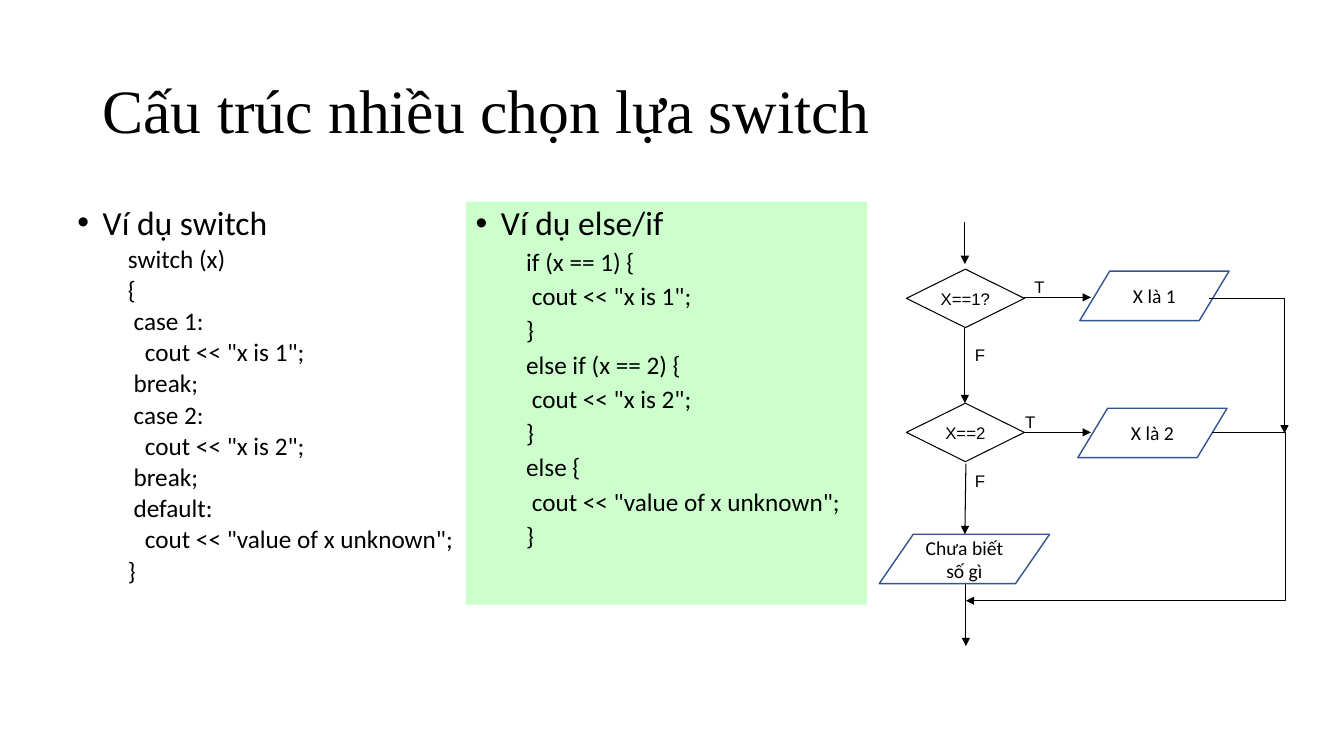
from dataclasses import dataclass

from lxml import etree
from pptx import Presentation
from pptx import util as u
from pptx.dml import color
from pptx.enum import shapes, text
from pptx.oxml import ns

COLORS = {"ink": "000000", "outline": "325491", "panel": "CCFFCC"}

SWITCH_CODE = """switch (x)
{
 case 1:
   cout << "x is 1";
 break;
 case 2:
   cout << "x is 2";
 break;
 default:
   cout << "value of x unknown";
}"""

ELSE_IF_CODE = """if (x == 1) {
 cout << "x is 1";
}
else if (x == 2) {
 cout << "x is 2";
}
else {
 cout << "value of x unknown";
}"""


@dataclass
class CodePanel:
    heading: str
    code: str
    frame: tuple
    spacing: float
    fill: str | None = None


@dataclass
class Node:
    caption: str
    frame: tuple
    decision: bool = False


@dataclass
class Arrow:
    start: tuple
    end: tuple
    preset: str = "line"
    bend: int | None = None


@dataclass
class Label:
    caption: str
    left: float
    top: float


PANELS = [
    CodePanel("Ví dụ switch", SWITCH_CODE, (0.67, 2.03, 4.05, 4.12), 0.8),
    CodePanel("Ví dụ else/if", ELSE_IF_CODE, (4.62, 2, 3.98, 4), 0.9, "panel"),
]
NODES = [
    Node("X==1?", (8.99, 2.67, 1.17, 0.58), True),
    Node("X==2", (8.99, 4, 1.17, 0.58), True),
    Node("X là 1", (10.71, 2.69, 1.48, 0.49)),
    Node("X là 2", (10.69, 4.05, 1.48, 0.49)),
    Node("Chưa biết số gì", (8.72, 5.3, 1.69, 0.49)),
]
ARROWS = [
    Arrow((9.57, 2.2), (9.57, 2.62)),
    Arrow((10.16, 2.95), (10.82, 2.95)),
    Arrow((9.57, 3.25), (9.57, 4)),
    Arrow((10.16, 4.29), (10.82, 4.29)),
    Arrow((9.58, 4.6), (9.57, 5.3)),
    Arrow((9.58, 5.79), (9.58, 6.41)),
    Arrow((11.99, 2.96), (12.74, 4.3), "bentConnector2"),
    Arrow((12.02, 4.29), (9.58, 5.96), "bentConnector3", -29800),
]
LABELS = [
    Label("T", 10.16, 2.7),
    Label("T", 10.07, 4.04),
    Label("F", 9.57, 3.37),
    Label("F", 9.57, 4.62),
]


def rgb(name: str) -> color.RGBColor:
    return color.RGBColor.from_string(COLORS[name])


def inches(lengths: tuple) -> list:
    return [u.Inches(length) for length in lengths]


def style(para, size: float, face: str) -> None:
    for span in para.runs:
        span.font.size = u.Pt(size)
        span.font.name = face
        span.font.color.rgb = rgb("ink")


def draw_title(page) -> None:
    frame = page.shapes.add_textbox(*inches((0.92, 0.4, 11.5, 1.45))).text_frame
    frame.word_wrap = True
    frame.vertical_anchor = text.MSO_ANCHOR.MIDDLE
    frame.text = "Cấu trúc nhiều chọn lựa switch"
    frame.paragraphs[0].line_spacing = 0.9
    style(frame.paragraphs[0], 44, "Times New Roman")


def draw_panel(page, panel: CodePanel) -> None:
    box = page.shapes.add_textbox(*inches(panel.frame))
    if panel.fill:
        box.fill.solid()
        box.fill.fore_color.rgb = rgb(panel.fill)
    frame = box.text_frame
    frame.word_wrap = True
    frame.text = "\n".join([panel.heading, panel.code])
    for index, para in enumerate(frame.paragraphs):
        heading = index == 0
        props = para._p.get_or_add_pPr()
        props.set("marL", str(u.Inches(0.25 if heading else 0.75)))
        props.set("indent", str(u.Inches(-0.25)))
        if heading:
            font = etree.SubElement(props, ns.qn("a:buFont"))
            font.set("typeface", "Arial")
            etree.SubElement(props, ns.qn("a:buChar")).set("char", "•")
        else:
            para.level = 1
            etree.SubElement(props, ns.qn("a:buNone"))
        para.line_spacing = panel.spacing
        para.space_before = u.Pt(0 if heading else 5)
        style(para, 24 if heading else 18, "Calibri")


def draw_node(page, node: Node) -> None:
    kinds = shapes.MSO_SHAPE
    kind = kinds.DIAMOND if node.decision else kinds.FLOWCHART_DATA
    box = page.shapes.add_shape(kind, *inches(node.frame))
    box.shadow.inherit = False
    box.fill.background()
    box.line.color.rgb = rgb("ink" if node.decision else "outline")
    box.line.width = u.Pt(0.75 if node.decision else 1)
    frame = box.text_frame
    frame.word_wrap = not node.decision
    frame.vertical_anchor = text.MSO_ANCHOR.MIDDLE
    frame.text = node.caption
    para = frame.paragraphs[0]
    para.alignment = text.PP_ALIGN.CENTER
    style(para, *((12, "Arial") if node.decision else (14, "Calibri")))


def draw_arrow(page, arrow: Arrow) -> None:
    line = page.shapes.add_connector(
        shapes.MSO_CONNECTOR.STRAIGHT, *inches(arrow.start + arrow.end))
    line.line.color.rgb = rgb("ink")
    line.line.width = u.Pt(0.75)
    props = line._element.spPr
    geometry = props.find(ns.qn("a:prstGeom"))
    geometry.set("prst", arrow.preset)
    if arrow.bend is not None:
        guide = etree.SubElement(geometry.find(ns.qn("a:avLst")), ns.qn("a:gd"))
        guide.set("name", "adj1")
        guide.set("fmla", f"val {arrow.bend}")
    tail = etree.SubElement(props.find(ns.qn("a:ln")), ns.qn("a:tailEnd"))
    tail.set("type", "triangle")
    etree.SubElement(props, ns.qn("a:effectLst"))


def draw_label(page, label: Label) -> None:
    box = page.shapes.add_textbox(*inches((label.left, label.top, 0.3, 0.3)))
    frame = box.text_frame
    frame.word_wrap = False
    frame.auto_size = text.MSO_AUTO_SIZE.SHAPE_TO_FIT_TEXT
    frame.text = label.caption
    style(frame.paragraphs[0], 12, "Arial")


def main() -> None:
    """Build the slide comparing switch with else/if beside its flowchart."""
    deck = Presentation()
    deck.slide_width, deck.slide_height = inches((13.33, 7.5))
    page = deck.slides.add_slide(deck.slide_layouts[6])
    draw_title(page)
    for draw, items in ((draw_panel, PANELS), (draw_node, NODES),
                        (draw_arrow, ARROWS), (draw_label, LABELS)):
        for item in items:
            draw(page, item)
    deck.save("out.pptx")


if __name__ == "__main__":
    main()
